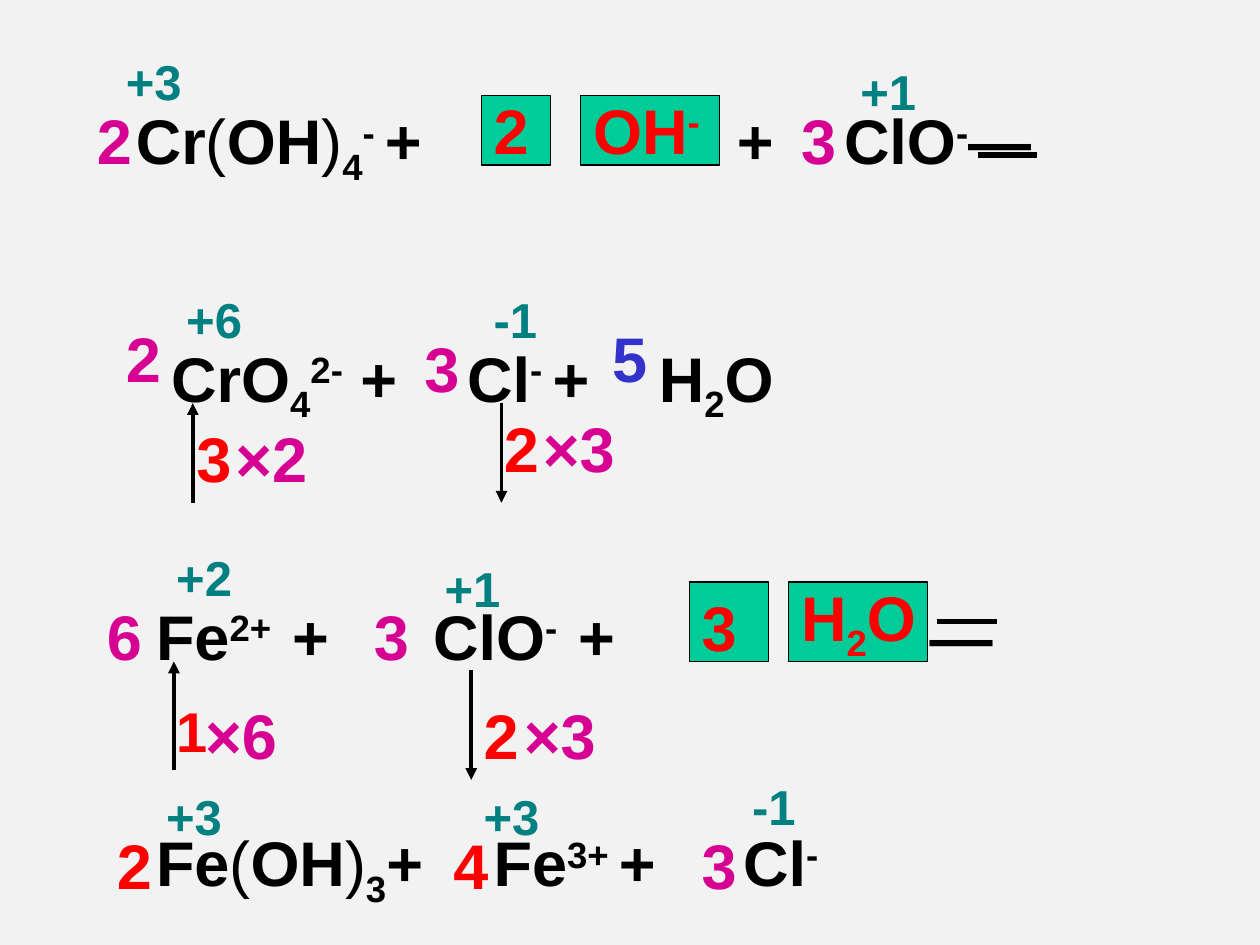
from lxml.etree import SubElement
from pptx import Presentation
from pptx.dml.color import RGBColor
from pptx.enum.shapes import MSO_CONNECTOR as CONN, MSO_SHAPE as SHAPE
from pptx.oxml.ns import qn
from pptx.util import Inches, Pt

BLACK, RED, MAGENTA = "000000", "FF0000", "D60093"
TEAL, BLUE, GREEN, GREY = "008080", "3333CC", "00CC99", "F2F2F2"
SUB, SUP, THIN = "sub", "sup", "thin"
BASELINES = {SUB: "-25000", SUP: "30000"}

# Each formula is a list of (text, style); tabs jump to the stops given with it
CHROMATE_LINES = [
    ([4.77, 5.62],
     [("Cr", ""), ("(", THIN), ("OH", ""), (")", THIN), ("4", SUB), ("- ", SUP),
      ("+\t+\tClO", ""), ("-", SUP), ("—", "")]),
    ([0.28, 2.63, 4.15],
     [("\tCrO", ""), ("4", SUB), ("2-", SUP), (" +\tCl", ""), ("- ", SUP),
      ("+\tH", ""), ("2", SUB), ("O", "")]),
]
IRON_LINES = [
    ([1.08, 2.2, 3.35, 6.14],
     [("Fe", ""), ("2+", SUP), ("\t+\tClO", ""), ("-", SUP), ("\t+\t—", "")]),
    ([2.68, 4.66],
     [("Fe", ""), ("(", THIN), ("OH", ""), (")", THIN), ("3", SUB), ("+\tFe", ""),
      ("3+ ", SUP), ("+\tCl", ""), ("-", SUP)]),
]

# (text, left, top, width)
OXIDATION_STATES = [
    ("+3", 0.9, 0.36, 0.94), ("+1", 6.73, 0.44, 0.71),
    ("+6", 1.38, 2.25, 0.94), ("-1", 3.82, 2.25, 0.63),
    ("+2", 1.3, 4.3, 0.71), ("+1", 3.43, 4.38, 0.71),
    ("+3", 1.22, 6.19, 0.71), ("+3", 3.74, 6.19, 0.71), ("-1", 5.87, 6.11, 0.55),
]
COEFFICIENTS = {
    MAGENTA: [
        ("2", 0.67, 0.76, 0.39), ("3", 6.26, 0.76, 0.71),
        ("2", 0.9, 2.49, 0.39), ("3", 3.27, 2.57, 0.71),
        ("6", 0.75, 4.69, 0.63), ("3", 2.87, 4.69, 0.63), ("3", 5.47, 6.51, 0.63),
        ("×2", 1.77, 3.28, 0.87), ("×3", 4.21, 3.2, 0.79),
        ("×6", 1.53, 5.48, 0.79), ("×3", 4.06, 5.48, 0.87),
    ],
    RED: [
        ("3", 1.46, 3.28, 0.63), ("2", 3.9, 3.2, 0.71), ("2", 3.74, 5.48, 0.47),
        ("2", 0.83, 6.51, 0.71), ("4", 3.5, 6.51, 0.63),
    ],
    BLUE: [("5", 4.76, 2.49, 0.55)],
}
# (left, top, width, height) of each panel
PANELS = [(4.61, 0.76, 1.1, 0.55), (3.82, 0.76, 0.55, 0.55),
          (6.26, 4.62, 1.1, 0.63), (5.47, 4.62, 0.63, 0.63)]
# (formula, left, top, width) of the text on each panel
PANEL_TEXTS = [
    ([("OH", ""), ("-", SUP)], 4.61, 0.68, 1.26),
    ([("2", "")], 3.82, 0.68, 0.55),
    ([("H", ""), ("2", SUB), ("O", "")], 6.26, 4.54, 1.34),
    ([("3", "")], 5.47, 4.62, 0.63),
]
# (x, start y, end y)
ELECTRON_ARROWS = [(1.53, 3.99, 3.2), (3.98, 3.2, 3.99),
                   (1.38, 6.11, 5.25), (3.74, 5.32, 6.19)]
EQUALS_STROKES = [(7.76, 1.23), (7.44, 4.93)]


def rgb(value):
    return RGBColor.from_string(value)


def add_tabs(p, stops):
    tabs = SubElement(p._p.get_or_add_pPr(), qn("a:tabLst"))
    for stop in stops:
        SubElement(tabs, qn("a:tab"), pos=str(Inches(stop)), algn="l")


def fill_paragraph(p, parts, color, size):
    p.font.name, p.font.size, p.font.bold = "Arial", Pt(size), True
    p.font.color.rgb = rgb(color)
    for text, style in parts:
        r = p.add_run()
        r.text = text
        if style == THIN:
            r.font.bold = False
        elif style:
            r.font._element.set("baseline", BASELINES[style])


def add_box(slide, left, top, width, height):
    sp = slide.shapes.add_textbox(*map(Inches, (left, top, width, height)))
    sp.text_frame.word_wrap = True
    return sp.text_frame


def add_label(slide, parts, left, top, width, color, size=36):
    tf = add_box(slide, left, top, width, 0.57 if size == 28 else 0.7)
    fill_paragraph(tf.paragraphs[0], parts, color, size)


def add_equations(slide, lines, left, top, width, height):
    tf = add_box(slide, left, top, width, height)
    for i, (stops, parts) in enumerate(lines):
        p = tf.add_paragraph() if i else tf.paragraphs[0]
        add_tabs(p, stops)
        if i:
            p.space_before = Pt(86.4)
        fill_paragraph(p, parts, BLACK, 36)


def add_panel(slide, left, top, width, height):
    sp = slide.shapes.add_shape(SHAPE.RECTANGLE, *map(Inches, (left, top, width, height)))
    sp.shadow.inherit = False
    sp.fill.solid()
    sp.fill.fore_color.rgb = rgb(GREEN)
    sp.line.color.rgb = rgb(BLACK)
    sp.line.width = Pt(0.75)


def add_line(slide, x1, y1, x2, y2, weight, arrow=False):
    line = slide.shapes.add_connector(CONN.STRAIGHT, *map(Inches, (x1, y1, x2, y2)))
    line.line.color.rgb = rgb(BLACK)
    line.line.width = Pt(weight)
    if arrow:
        SubElement(line.line._get_or_add_ln(), qn("a:tailEnd"), type="triangle")
    SubElement(line._element.spPr, qn("a:effectLst"))


def main():
    prs = Presentation()
    prs.slide_width, prs.slide_height = Inches(10), Inches(7.5)
    slide = prs.slides.add_slide(prs.slide_layouts[6])
    slide.background.fill.solid()
    slide.background.fill.fore_color.rgb = rgb(GREY)

    # Equations
    add_equations(slide, CHROMATE_LINES, 0.98, 0.76, 8.51, 2.69)
    add_equations(slide, IRON_LINES, 1.14, 4.69, 8.03, 2.61)

    # Highlighted species
    for panel in PANELS:
        add_panel(slide, *panel)
    for label in PANEL_TEXTS:
        add_label(slide, *label, RED)

    # Oxidation states and balancing numbers
    for text, *place in OXIDATION_STATES:
        add_label(slide, [(text, "")], *place, TEAL, 28)
    for color, labels in COEFFICIENTS.items():
        for text, *place in labels:
            add_label(slide, [(text, "")], *place, color)
    add_label(slide, [("1", "")], 1.3, 5.48, 0.47, RED, 32)

    # Electron transfer arrows and second strokes of the equals signs
    for x, start, end in ELECTRON_ARROWS:
        add_line(slide, x, start, x, end, 2.25, arrow=True)
    for x, y in EQUALS_STROKES:
        add_line(slide, x, y, x + 0.47, y, 3)

    prs.save("out.pptx")


if __name__ == "__main__":
    main()
